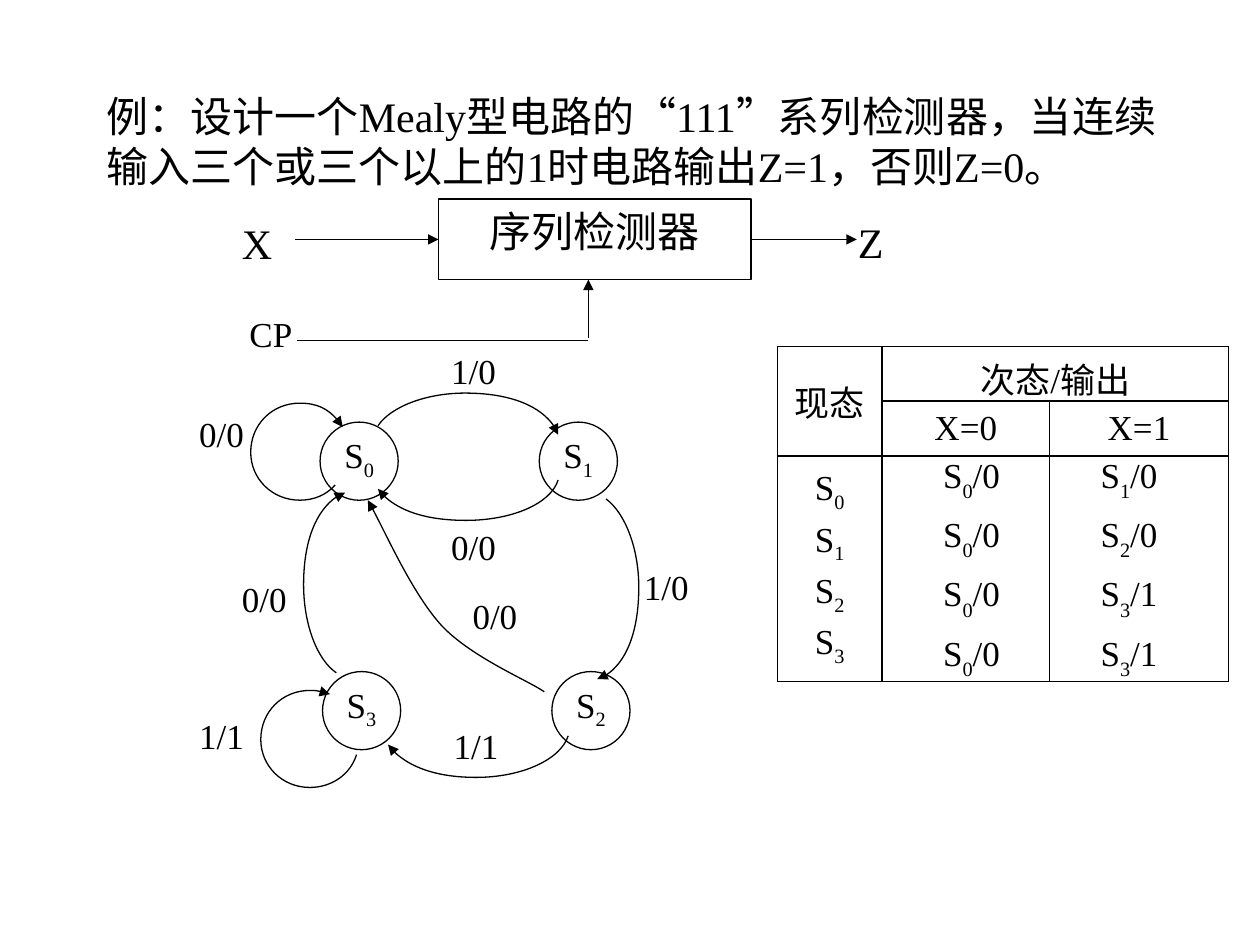
from dataclasses import dataclass
from typing import NamedTuple

from lxml.etree import SubElement
from pptx import Presentation
from pptx.dml.color import RGBColor
from pptx.enum.shapes import MSO_CONNECTOR as Conn, MSO_SHAPE as Kind
from pptx.enum.text import MSO_ANCHOR as Anchor, MSO_AUTO_SIZE as Fit, PP_ALIGN as Align
from pptx.oxml import parse_xml
from pptx.oxml.ns import nsdecls, qn
from pptx.util import Inches, Pt


@dataclass(frozen=True)
class Theme:
    ink: RGBColor = RGBColor(0, 0, 0)
    paper: RGBColor = RGBColor(255, 255, 255)
    face: str = "Times New Roman"
    big: int = 24
    small: int = 20
    line: float = 0.75
    rule: float = 1


class Label(NamedTuple):
    text: str
    x: float
    y: float
    w: float = 0.38
    h: float = 0.36
    size: int = 20


class State(NamedTuple):
    text: str
    x: float
    y: float


class Curve(NamedTuple):
    """Bezier start and control points, with the arrow at 'head' or 'tail'."""
    end: str
    pts: tuple


class Wire(NamedTuple):
    x1: float
    y1: float
    x2: float
    y2: float
    arrow: bool = True
    start: int | None = None
    stop: int | None = None


T = Theme()
NONE = dict(margin_left=0, margin_right=0, margin_top=0, margin_bottom=0)

LABELS = [
    Label("X", 1.92, 1.73, 0.36, 0.34, T.big),
    Label("CP", 1.98, 2.48, 0.36, 0.34),
    Label("Z", 6.81, 1.72, 0.36, 0.34, T.big),
    Label("1/0", 3.58, 2.77), Label("0/0", 1.58, 3.27),
    Label("0/0", 3.75, 4.72), Label("1/1", 3.6, 5.75),
    Label("1/0", 5.11, 4.49), Label("0/0", 3.58, 4.17),
    Label("0/0", 1.92, 4.58), Label("1/1", 1.58, 5.67),
]
STATES = [State("S_0", 2.54, 3.35), State("S_1", 4.28, 3.35),
          State("S_2", 4.38, 5.33), State("S_3", 2.56, 5.33)]
WIRES = [
    Wire(2.34, 1.9, 3.48, 1.9, stop=1),
    Wire(5.96, 1.9, 6.8, 1.9, start=3),
    Wire(4.67, 2.68, 4.67, 2.22),
    Wire(4.67, 2.7, 2.36, 2.7, arrow=False),
]
CURVES = [
    Curve("head", ((2.72, 3.39), (2.65, 3.27), (2.52, 3.2), (2.38, 3.2),
                   (2.16, 3.2), (1.99, 3.37), (1.99, 3.59),
                   (1.99, 3.8), (2.16, 3.97), (2.38, 3.97),
                   (2.49, 3.97), (2.59, 3.93), (2.66, 3.85))),
    Curve("head", ((4.43, 3.45), (4.37, 3.26), (4.06, 3.12), (3.69, 3.12),
                   (3.38, 3.12), (3.1, 3.23), (3, 3.38))),
    Curve("tail", ((4.51, 5.84), (4.45, 6.03), (4.14, 6.17), (3.78, 6.17),
                   (3.46, 6.17), (3.18, 6.06), (3.08, 5.91))),
    Curve("head", ((4.74, 5.39), (4.93, 5.34), (5.07, 5.03), (5.07, 4.66),
                   (5.07, 4.35), (4.96, 4.07), (4.81, 3.96))),
    Curve("head", ((2.74, 3.91), (2.55, 3.97), (2.41, 4.28), (2.41, 4.64),
                   (2.41, 4.96), (2.52, 5.24), (2.67, 5.34))),
    Curve("tail", ((4.32, 5.49), (4.19, 5.4), (3.75, 5.22), (3.51, 4.97),
                   (3.28, 4.72), (3.04, 4.18), (2.92, 3.97))),
    Curve("head", ((2.62, 5.51), (2.57, 5.49), (2.51, 5.48), (2.46, 5.48),
                   (2.24, 5.48), (2.07, 5.65), (2.07, 5.87),
                   (2.07, 6.08), (2.24, 6.25), (2.46, 6.25),
                   (2.63, 6.25), (2.78, 6.15), (2.83, 5.99))),
    Curve("tail", ((4.43, 3.81), (4.37, 4), (4.06, 4.13), (3.7, 4.13),
                   (3.38, 4.13), (3.1, 4.03), (3, 3.88))),
]


def put(obj, **fmt) -> None:
    for key, val in fmt.items():
        setattr(obj, key, val)


def write(frame, lines: list[str], size: int, drop: int = -25, **fmt) -> None:
    """Fill a frame; the character after "_" becomes a subscript."""
    for i, text in enumerate(lines):
        para = frame.paragraphs[0] if i == 0 else frame.add_paragraph()
        put(para, **fmt)
        if i == 0:
            para.space_before = Pt(0)
        base, _, rest = text.partition("_")
        for part, low in ((base, False), (rest[:1], True), (rest[1:], False)):
            if part:
                run = para.add_run()
                run.text = part
                put(run.font, size=Pt(size), name=T.face)
                run.font.color.rgb = T.ink
                if low:
                    run.font._element.set("baseline", str(drop * 1000))


def box(slide, x: float, y: float, w: float, h: float, **fmt):
    frame = slide.shapes.add_textbox(*map(Inches, (x, y, w, h))).text_frame
    put(frame, word_wrap=True, **fmt)
    return frame


def ink(shape, end: str = "") -> None:
    """Draw the outline, with an arrowhead at the named end."""
    shape.line.color.rgb = T.ink
    shape.line.width = Pt(T.line)
    if end:
        SubElement(shape.line._get_or_add_ln(), qn(f"a:{end}End"), type="triangle")


def node(slide, kind, x: float, y: float, w: float, h: float, text: str,
         size: int, **fmt):
    shape = slide.shapes.add_shape(kind, *map(Inches, (x, y, w, h)))
    shape.shadow.inherit = False
    shape.fill.solid()
    shape.fill.fore_color.rgb = T.paper
    ink(shape)
    put(shape.text_frame, vertical_anchor=Anchor.TOP, **fmt)
    write(shape.text_frame, [text], size, alignment=Align.CENTER)
    return shape


def wire(slide, item: Wire, hub) -> None:
    line = slide.shapes.add_connector(
        Conn.STRAIGHT, *map(Inches, (item.x1, item.y1, item.x2, item.y2)))
    if item.start is not None:
        line.begin_connect(hub, item.start)
    if item.stop is not None:
        line.end_connect(hub, item.stop)
    ink(line, "tail" if item.arrow else "")
    SubElement(line._element.spPr, qn("a:effectLst"))


def bend(slide, item: Curve) -> None:
    """Build the control polygon, then turn each three lines into a Bezier."""
    pts = [(Inches(x), Inches(y)) for x, y in item.pts]
    form = slide.shapes.build_freeform(*pts[0])
    form.add_line_segments(pts[1:], close=False)
    shape = form.convert_to_shape()
    shape.shadow.inherit = False
    shape.fill.background()
    ink(shape, item.end)
    track = shape._element.find(".//" + qn("a:path"))
    legs = track.findall(qn("a:lnTo"))
    for i in range(0, len(legs), 3):
        cubic = SubElement(track, qn("a:cubicBezTo"))
        for leg in legs[i:i + 3]:
            cubic.append(leg[0])
            track.remove(leg)


def grid(slide) -> None:
    table = slide.shapes.add_table(
        3, 3, *map(Inches, (6.17, 2.75, 3.58, 2.65))).table
    put(table, first_row=False, horz_banding=False)
    for col, wide in zip(table.columns, (0.83, 1.33, 1.42)):
        col.width = Inches(wide)
    for row, high in zip(table.rows, (0.43, 0.43, 1.79)):
        row.height = Inches(high)
    table.cell(0, 0).merge(table.cell(1, 0))
    table.cell(0, 1).merge(table.cell(0, 2))
    for cell in table.iter_cells():
        cell.vertical_anchor = Anchor.MIDDLE
        cell.fill.background()
        for i, side in enumerate("LRTB"):
            cell._tc.get_or_add_tcPr().insert(i, parse_xml(
                f'<a:ln{side} {nsdecls("a")} w="{Pt(T.rule)}"><a:solidFill>'
                f'<a:srgbClr val="{T.ink}"/></a:solidFill></a:ln{side}>'))
    words = {(0, 0): ["现态"], (0, 1): ["次态/输出"], (1, 1): ["X=0"],
             (1, 2): ["X=1"], (2, 0): [f"S_{i}" for i in range(4)]}
    for spot, lines in words.items():
        write(table.cell(*spot).text_frame, lines, T.small,
              alignment=Align.CENTER, space_before=Pt(4))


def main() -> None:
    deck = Presentation()
    put(deck, slide_width=Inches(10), slide_height=Inches(7.5))
    slide = deck.slides.add_slide(deck.slide_layouts[6])
    write(box(slide, 0.75, 0.67, 8.83, 0.9, auto_size=Fit.SHAPE_TO_FIT_TEXT),
          ["例：设计一个Mealy型电路的“111”系列检测器，当连续输入三个或三个以上的1时电路输出Z=1，否则Z=0。"], T.big)
    hub = node(slide, Kind.RECTANGLE, 3.48, 1.58, 2.48, 0.64, "序列检测器", T.big)
    for item in WIRES:
        wire(slide, item, hub)
    for item in STATES:
        node(slide, Kind.OVAL, item.x, item.y, 0.62, 0.62, item.text, T.small, **NONE)
    for item in CURVES:
        bend(slide, item)
    for item in LABELS:
        write(box(slide, item.x, item.y, item.w, item.h, **NONE), [item.text],
              item.size, alignment=Align.JUSTIFY)
    for x, lines in ((7.17, ["S_0/0"] * 4),
                     (8.42, ["S_1/0", "S_2/0", "S_3/1", "S_3/1"])):
        write(box(slide, x, 3.67, 1.08, 1.58, vertical_anchor=Anchor.MIDDLE),
              lines, T.small, -30, alignment=Align.CENTER, line_spacing=1.2)
    grid(slide)
    deck.save("out.pptx")


if __name__ == "__main__":
    main()
